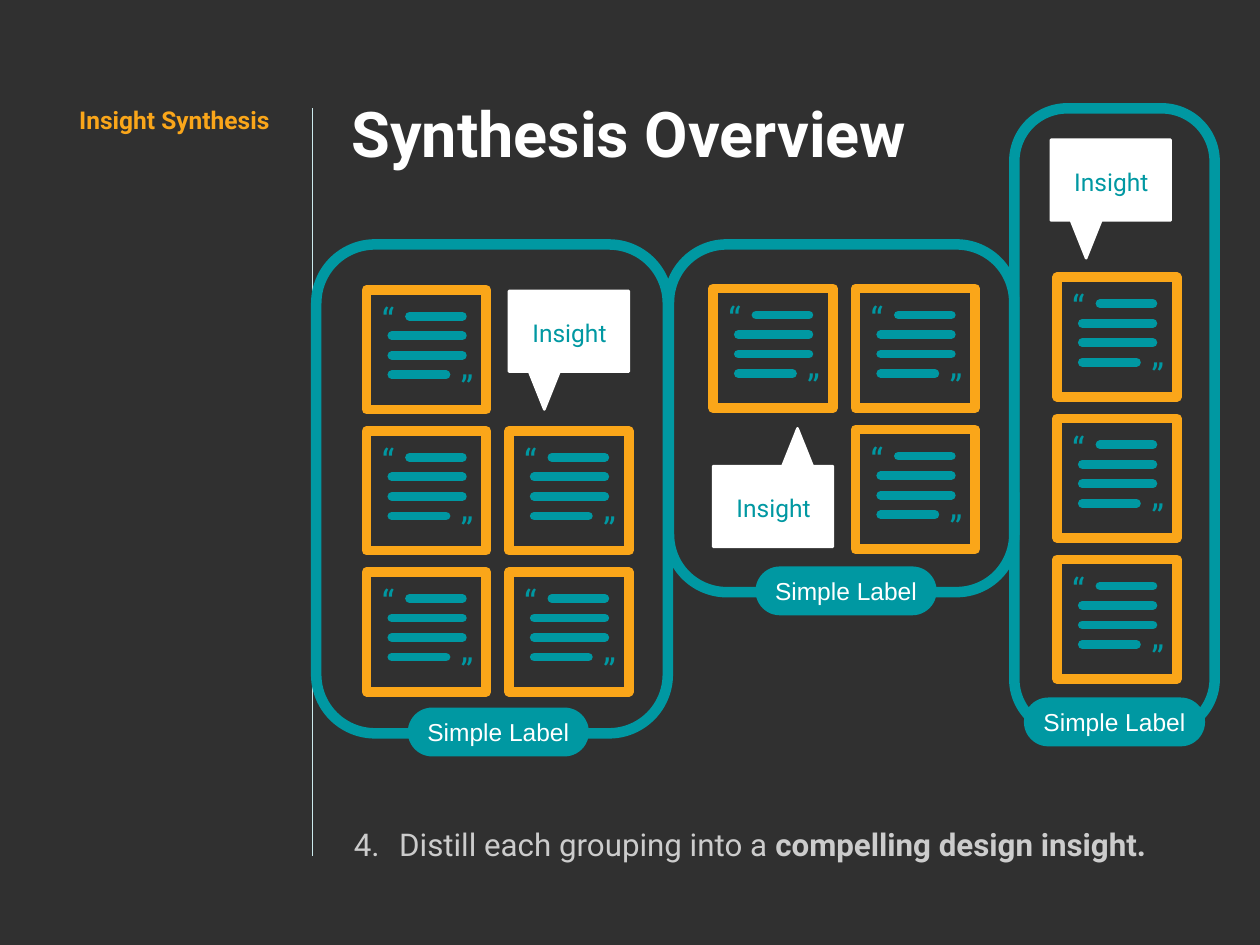
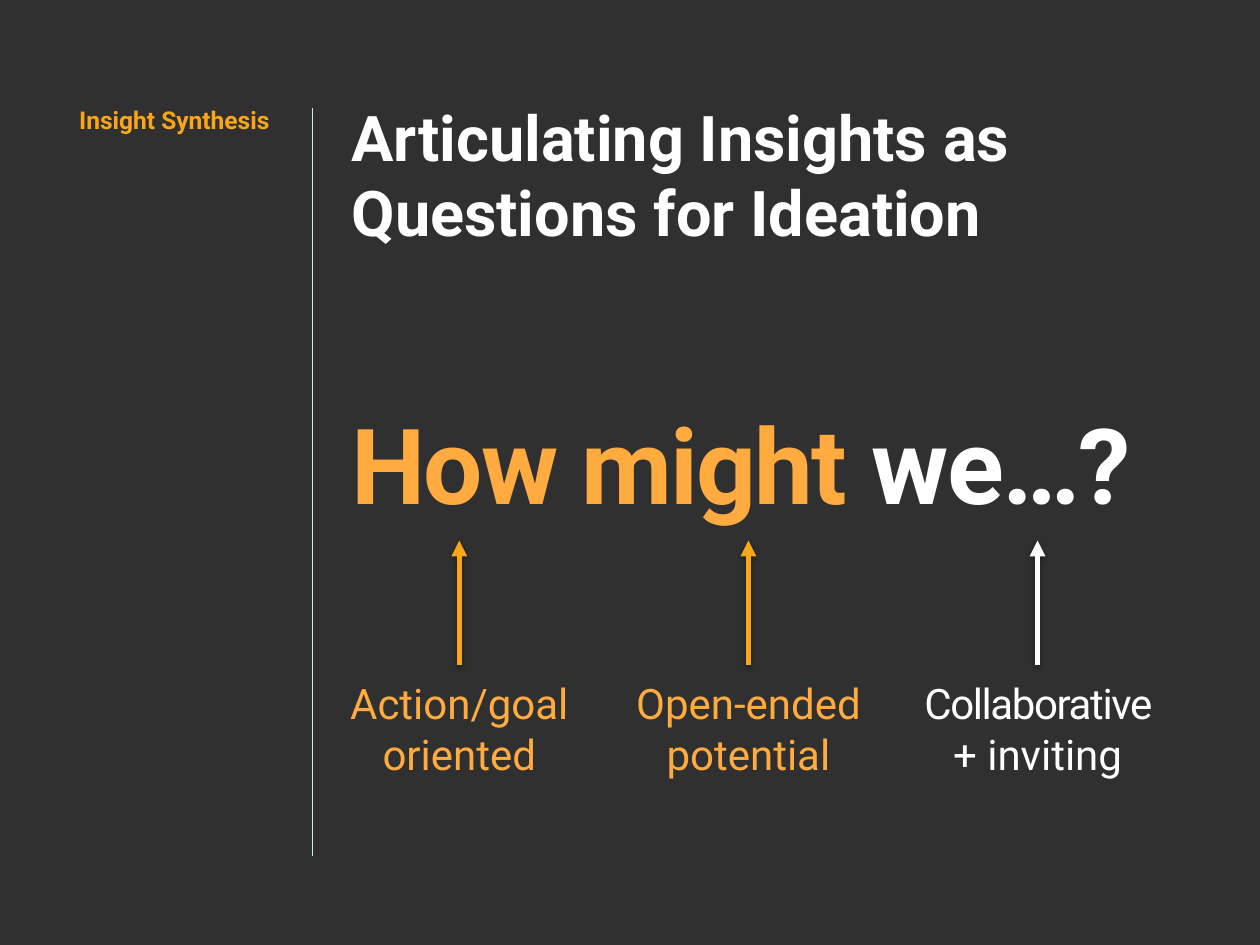
from pptx import Presentation
from pptx.dml.color import RGBColor
from pptx.enum.shapes import MSO_CONNECTOR, MSO_SHAPE
from pptx.enum.text import MSO_ANCHOR, MSO_AUTO_SIZE, PP_ALIGN
from pptx.oxml import parse_xml
from pptx.oxml.ns import nsdecls, qn
from pptx.util import Inches, Pt

RECT, ROUND = MSO_SHAPE.RECTANGLE, MSO_SHAPE.ROUNDED_RECTANGLE
LINE = MSO_CONNECTOR.STRAIGHT
TOP, MID, LOW = MSO_ANCHOR.TOP, MSO_ANCHOR.MIDDLE, MSO_ANCHOR.BOTTOM
LEFT, MIDST = PP_ALIGN.LEFT, PP_ALIGN.CENTER
FIXED = MSO_AUTO_SIZE.NONE

DARK, WHITE, TEAL, GREY, PALE = "303030", "FFFFFF", "0098A2", "CCCCCC", "CCEAEC"
AMBER, GOLD, PEACH = "FAA619", "FAA61A", "FFAB40"
FACE = "Roboto"

TAG = "Insight Synthesis"
HEADS = [
    ("Synthesis Overview", (2.69, 0.65, 6.97, 0.83)),
    ("Articulating Insights as Questions for Ideation", (2.69, 0.68, 6.91, 1.87)),
]

LOOPS = [
    ((8.05, 0.86, 1.59, 4.95), 0.264),
    ((2.51, 1.94, 2.79, 3.88), 0.167),
    ((5.31, 1.94, 2.74, 2.76), 0.167),
]
COL, ROW = 1.13, 1.12
GRIDS = [
    ((2.91, 2.3), [(0, 0), (0, 1), (1, 1), (0, 2), (1, 2)]),
    ((5.66, 2.29), [(0, 0), (1, 0), (1, 1)]),
    ((8.39, 2.2), [(0, 0), (0, 1), (0, 2)]),
]
CARD, STEP = 0.95, 0.155
STROKES = [(0.34, 0.76), (0.2, 0.76), (0.2, 0.76), (0.2, 0.63)]
QUOTES = [(0.07, 0.02, 0), (0.62, 0.49, 180)]
LABEL = "Simple Label"
PILLS = [(6.01, 4.51), (3.25, 5.63), (8.14, 5.55)]
POINT = "Insight"
WIDE, HIGH = 0.95, 0.94
BUBBLE = [(0, 0), (0.95, 0), (0.95, 0.64), (0.4, 0.64), (0.28, 0.94), (0.16, 0.64), (0, 0.64)]
BUBBLES = [(4.04, 2.31, False), (5.66, 3.4, True), (8.34, 1.11, False)]
TASK = [("Distill each grouping into a ", {}), ("compelling design insight.", {"bold": True})]

PHRASE = [("How might ", PEACH), ("we…?", WHITE)]
PARTS = [
    ([("Action/goal oriented", 0)], PEACH, AMBER),
    ([("Open-ended potential", 0)], PEACH, AMBER),
    ([("Collaborative +", -0.8), (" inviting", 0)], WHITE, WHITE),
]


def rgb(code):
    return RGBColor.from_string(code)


def place(box):
    return [Inches(v) for v in box]


def add_run(par, text, size, color, bold=False, face=FACE, gap=0):
    run = par.add_run()
    run.text = text
    font = run.font
    font.name, font.size, font.bold = face, Pt(size), bold
    font.color.rgb = rgb(color)
    if gap:
        run._r.get_or_add_rPr().set("spc", str(round(gap * 100)))


def set_frame(shape, inset=0.1, anchor=TOP, align=LEFT):
    frame = shape.text_frame
    frame.word_wrap, frame.auto_size = True, FIXED
    frame.vertical_anchor = anchor
    frame.margin_left = frame.margin_right = Inches(inset)
    frame.margin_top = frame.margin_bottom = Inches(inset)
    par = frame.paragraphs[0]
    par.alignment = align
    return par


def add_box(shapes, box, **style):
    shape = shapes.add_textbox(*place(box))
    return shape, set_frame(shape, **style)


def set_line(shape, color, width, cap="flat"):
    shape.line.color.rgb = rgb(color)
    shape.line.width = Pt(width)
    edge = shape._element.spPr.find(qn("a:ln"))
    edge.set("cap", cap)
    edge.append(parse_xml(f"<a:round {nsdecls('a')}/>"))
    return edge


def paint(shape, fill, color, width):
    shape.shadow.inherit = False
    if fill:
        shape.fill.solid()
        shape.fill.fore_color.rgb = rgb(fill)
    else:
        shape.fill.background()
    set_line(shape, color, width)


def add_line(shapes, ends, color, width, cap="flat", glow=""):
    line = shapes.add_connector(LINE, *place(ends))
    edge = set_line(line, color, width, cap)
    line._element.spPr.append(parse_xml(f"<a:effectLst {nsdecls('a')}>{glow}</a:effectLst>"))
    return line, edge


def add_slide(deck, head, box):
    slide = deck.slides.add_slide(deck.slide_layouts[5])
    title = slide.shapes.title
    title.left, title.top, title.width, title.height = place(box)
    add_run(set_frame(title), head, 36, WHITE, True)
    add_line(slide.shapes, (2.48, 0.86, 2.48, 6.79), PALE, 0.75)
    _, par = add_box(slide.shapes, (0.53, 0.73, 1.79, 0.67))
    add_run(par, TAG, 14, GOLD, True)
    return slide.shapes


def add_card(shapes, x, y):
    group = shapes.add_group_shape().shapes
    paint(group.add_shape(RECT, *place((x, y, CARD, CARD))), DARK, AMBER, 5.5)
    for i, (start, end) in enumerate(STROKES):
        level = y + 0.21 + i * STEP
        add_line(group, (x + start, level, x + end, level), TEAL, 5, "rnd")
    for dx, dy, turn in QUOTES:
        mark, par = add_box(group, (x + dx, y + dy, 0.28, 0.37), inset=0.05)
        mark.rotation = turn
        add_run(par, "“", 20, TEAL)


def add_pill(shapes, x, y):
    pill = shapes.add_shape(ROUND, *place((x, y, 1.41, 0.36)))
    pill.adjustments[0] = 0.5
    paint(pill, TEAL, TEAL, 2)
    add_run(set_frame(pill, 0.05, MID, MIDST), LABEL, 14, WHITE, face="Arial")


def add_bubble(shapes, x, y, flip):
    spots = [(WIDE - px, HIGH - py) if flip else (px, py) for px, py in BUBBLE]
    spots = [place((x + px, y + py)) for px, py in spots]
    path = shapes.build_freeform(*spots[0])
    path.add_line_segments(spots[1:], close=True)
    paint(path.convert_to_shape(), WHITE, WHITE, 1.5)
    drop = 0.41 if flip else 0.11
    _, par = add_box(shapes, (x, y + drop, 0.96, 0.44), anchor=MID, align=MIDST)
    add_run(par, POINT, 14, TEAL)


def add_task(shapes):
    _, par = add_box(shapes, (2.57, 5.84, 7.31, 1.11), anchor=LOW)
    props = par._p.get_or_add_pPr()
    props.set("marL", str(Inches(0.5)))
    props.set("indent", str(Inches(-0.36)))
    for part in (
        f'<a:buClr {nsdecls("a")}><a:srgbClr val="{GREY}"/></a:buClr>',
        f'<a:buFont {nsdecls("a")} typeface="{FACE}"/>',
        f'<a:buAutoNum {nsdecls("a")} type="arabicPeriod" startAt="4"/>',
    ):
        props.append(parse_xml(part))
    par.line_spacing = 1.1
    for text, style in TASK:
        add_run(par, text, 17.9, GREY, **style)


def add_part(shapes, i, runs, ink, color):
    left = 2.57 + i * 2.295
    box, par = add_box(shapes, (left, 5.28, 2.15, 1.01), align=MIDST)
    for text, gap in runs:
        add_run(par, text, 24, ink, gap=gap)
    mid = left + 2.15 / 2
    glow = (
        f'<a:outerShdw blurRad="{Pt(3)}" dist="{Pt(1.6)}" dir="5400000" rotWithShape="0">'
        '<a:srgbClr val="000000"><a:alpha val="38000"/></a:srgbClr></a:outerShdw>'
    )
    arrow, edge = add_line(shapes, (mid, 5.28, mid, 4.29), color, 3, glow=glow)
    edge.append(parse_xml(f'<a:tailEnd {nsdecls("a")} type="triangle"/>'))
    arrow.begin_connect(box, 0)


def draw_groups(deck):
    shapes = add_slide(deck, *HEADS[0])
    for box, curve in LOOPS:
        loop = shapes.add_shape(ROUND, *place(box))
        loop.adjustments[0] = curve
        paint(loop, None, TEAL, 6)
    for (x, y), cells in GRIDS:
        for col, row in cells:
            add_card(shapes, x + col * COL, y + row * ROW)
    add_task(shapes)
    for spot in PILLS:
        add_pill(shapes, *spot)
    for spot in BUBBLES:
        add_bubble(shapes, *spot)


def draw_phrase(deck):
    shapes = add_slide(deck, *HEADS[1])
    _, par = add_box(shapes, (2.69, 3.21, 7.08, 1.08))
    par.line_spacing = Pt(62)
    for text, color in PHRASE:
        add_run(par, text, 60, color, True, gap=-1)
    for i, part in enumerate(PARTS):
        add_part(shapes, i, *part)


def main():
    deck = Presentation()
    deck.slide_width, deck.slide_height = Inches(10), Inches(7.5)
    back = deck.slide_master.background.fill
    back.solid()
    back.fore_color.rgb = rgb(DARK)
    draw_groups(deck)
    draw_phrase(deck)
    deck.save("out.pptx")


if __name__ == "__main__":
    main()
